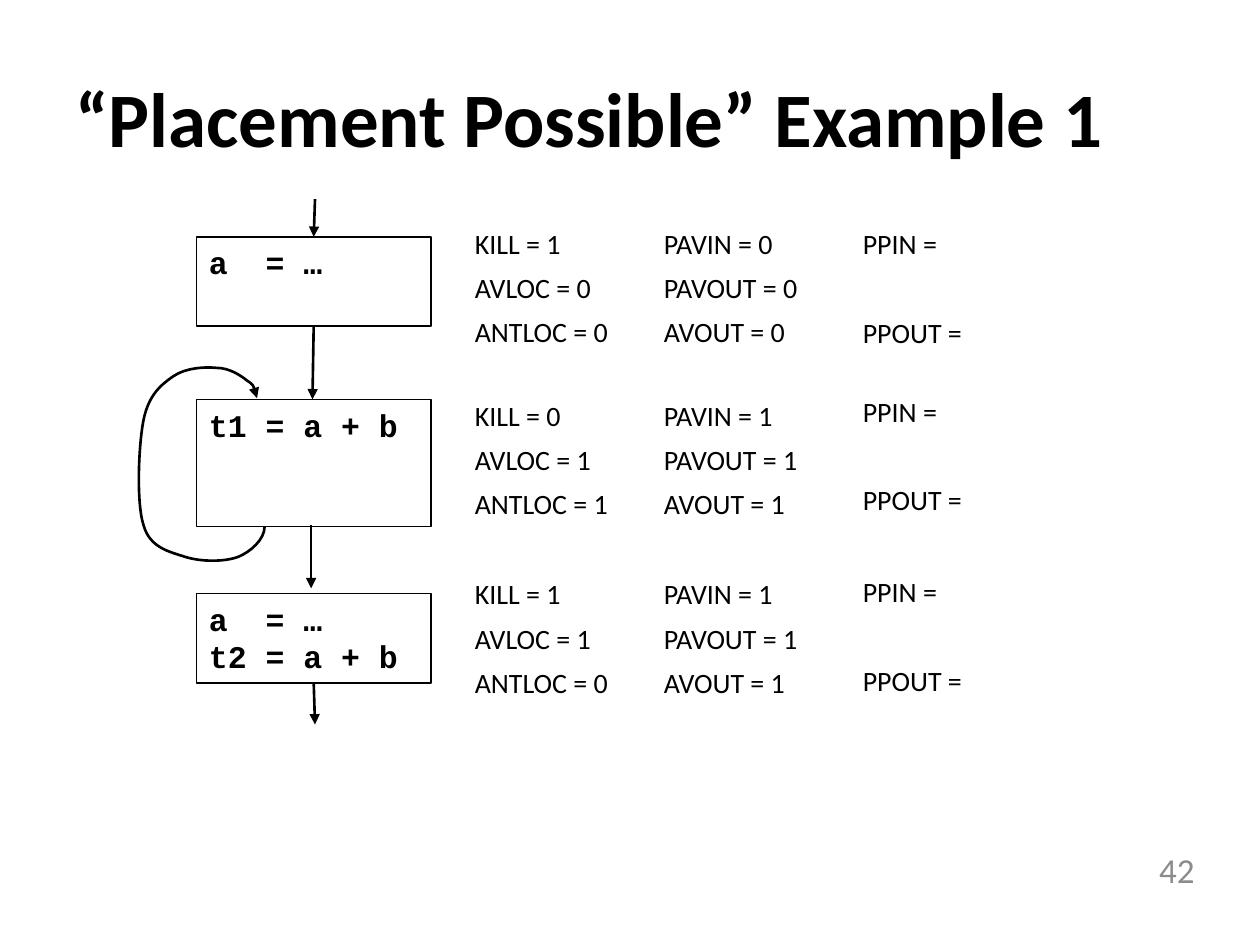
from dataclasses import dataclass

from lxml import etree
from pptx import Presentation
from pptx.dml.color import RGBColor
from pptx.enum import shapes, text
from pptx.oxml.ns import qn
from pptx.util import Inches, Pt


@dataclass(frozen=True)
class Theme:
    ink: RGBColor = RGBColor(0, 0, 0)
    muted: RGBColor = RGBColor(0x8C, 0x8C, 0x8C)
    body_font: str = "Calibri"
    code_font: str = "Courier New"
    title_size: int = 44
    number_size: int = 20
    code_size: int = 18
    fact_size: int = 16
    box_line: float = 1
    arrow_line: float = 1.5


class SlideBuilder:
    def __init__(self, slide, theme):
        self.slide, self.theme = slide, theme

    def set_text(self, tf, lines, size, font, color=None, bold=False):
        tf.text = "\n".join(lines)
        for p in tf.paragraphs:
            for r in p.runs:
                r.font.size, r.font.name, r.font.bold = Pt(size), font, bold
                r.font.color.rgb = color or self.theme.ink

    def label(self, at, content, size, color=None, bold=False, align=None):
        """Add a single line of text, centred vertically in its area."""
        tf = self.slide.shapes.add_textbox(*map(Inches, at)).text_frame
        tf.word_wrap = True
        tf.vertical_anchor = text.MSO_ANCHOR.MIDDLE
        self.set_text(tf, [content], size, self.theme.body_font, color, bold)
        tf.paragraphs[0].alignment = align

    def facts(self, at, lines, gap):
        """Add a list of data-flow facts with gap points before each line."""
        tf = self.slide.shapes.add_textbox(*map(Inches, at)).text_frame
        tf.word_wrap = False
        tf.auto_size = text.MSO_AUTO_SIZE.SHAPE_TO_FIT_TEXT
        self.set_text(tf, lines, self.theme.fact_size, self.theme.body_font)
        for p in tf.paragraphs[1:]:
            p.space_before = Pt(gap)

    def code_block(self, at, lines):
        sp = self.slide.shapes.add_shape(shapes.MSO_SHAPE.RECTANGLE, *map(Inches, at))
        sp.shadow.inherit = False
        sp.fill.background()
        sp.line.color.rgb, sp.line.width = self.theme.ink, Pt(self.theme.box_line)
        tf = sp.text_frame
        tf.word_wrap = True
        tf.vertical_anchor = text.MSO_ANCHOR.TOP
        self.set_text(tf, lines, self.theme.code_size, self.theme.code_font, bold=True)
        for p in tf.paragraphs:
            p.alignment = text.PP_ALIGN.LEFT

    def style_arrow(self, sp):
        sp.line.color.rgb, sp.line.width = self.theme.ink, Pt(self.theme.arrow_line)
        ln = sp._element.spPr.find(qn("a:ln"))
        etree.SubElement(ln, qn("a:tailEnd"), type="triangle")

    def arrow(self, start, end):
        cxn = self.slide.shapes.add_connector(
            shapes.MSO_CONNECTOR.STRAIGHT, *map(Inches, start + end))
        self.style_arrow(cxn)
        etree.SubElement(cxn._element.spPr, qn("a:effectLst"))

    def curved_arrow(self, points):
        """Draw a start point followed by cubic Bézier triples."""
        start, *rest = [(Inches(x), Inches(y)) for x, y in points]
        builder = self.slide.shapes.build_freeform(*start, scale=1.0)
        builder.add_line_segments(rest, close=False)
        sp = builder.convert_to_shape()
        sp.shadow.inherit = False
        sp.fill.background()
        self.style_arrow(sp)
        outline = sp._element.spPr.find(".//" + qn("a:path"))
        segments = outline.findall(qn("a:lnTo"))
        for i in range(0, len(segments), 3):
            curve = etree.SubElement(outline, qn("a:cubicBezTo"))
            for segment in segments[i:i + 3]:
                curve.append(segment[0])
                outline.remove(segment)


BLOCK_LEFT, BLOCK_WIDTH = 1.56, 1.86
FACT_HEIGHT = 1.08
FACT_GAP, WIDE_GAP = 6, 31.5

# block top, block height, code, facts top, PP facts top, local facts, availability
BLOCKS = [
    (1.88, 0.71, ["a  = …"], 1.75, 1.75, (1, 0, 0), (0, 0, 0)),
    (3.17, 1.01, ["t1 = a + b"], 3.11, 3.08, (0, 1, 1), (1, 1, 1)),
    (4.71, 0.71, ["a  = …", "t2 = a + b"], 4.53, 4.51, (1, 1, 0), (1, 1, 1)),
]
LOCAL = ("KILL", "AVLOC", "ANTLOC")
AVAILABILITY = ("PAVIN", "PAVOUT", "AVOUT")

FLOW = [
    ((2.5, 1.58), (2.49, 1.88)),
    ((2.49, 2.58), (2.48, 3.17)),
    ((2.47, 4.17), (2.47, 4.67)),
    ((2.49, 5.42), (2.5, 5.75)),
]
LOOP_BACK = [
    (2.1, 4.18),
    (2.1, 4.28), (1.99, 4.38), (1.89, 4.42),
    (1.78, 4.46), (1.6, 4.46), (1.47, 4.42),
    (1.35, 4.38), (1.19, 4.35), (1.14, 4.17),
    (1.08, 3.99), (1.1, 3.53), (1.14, 3.33),
    (1.18, 3.14), (1.27, 3.06), (1.37, 2.99),
    (1.47, 2.92), (1.62, 2.91), (1.72, 2.92),
    (1.82, 2.92), (1.91, 2.98), (1.96, 3.02),
    (2.02, 3.06), (2.03, 3.11), (2.04, 3.16),
]


def equations(names, values):
    return [f"{name} = {value}" for name, value in zip(names, values)]


def main():
    prs = Presentation()
    prs.slide_width, prs.slide_height = Inches(10), Inches(7.5)
    theme = Theme()
    s = SlideBuilder(prs.slides.add_slide(prs.slide_layouts[6]), theme)

    s.label((0.5, 0.3, 9, 1.25), "“Placement Possible” Example 1",
            theme.title_size, bold=True)
    s.label((7.25, 6.7, 2.33, 0.4), "42", theme.number_size, theme.muted,
            align=text.PP_ALIGN.RIGHT)

    for top, height, code, fact_top, pp_top, local, availability in BLOCKS:
        s.code_block((BLOCK_LEFT, top, BLOCK_WIDTH, height), code)
        s.facts((3.67, fact_top, 1.28, FACT_HEIGHT), equations(LOCAL, local), FACT_GAP)
        s.facts((5.17, fact_top, 1.3, FACT_HEIGHT),
                equations(AVAILABILITY, availability), FACT_GAP)
        s.facts((6.75, pp_top, 1, FACT_HEIGHT), ["PPIN =", "PPOUT ="], WIDE_GAP)

    for start, end in FLOW:
        s.arrow(start, end)
    s.curved_arrow(LOOP_BACK)

    prs.save("out.pptx")


if __name__ == "__main__":
    main()
